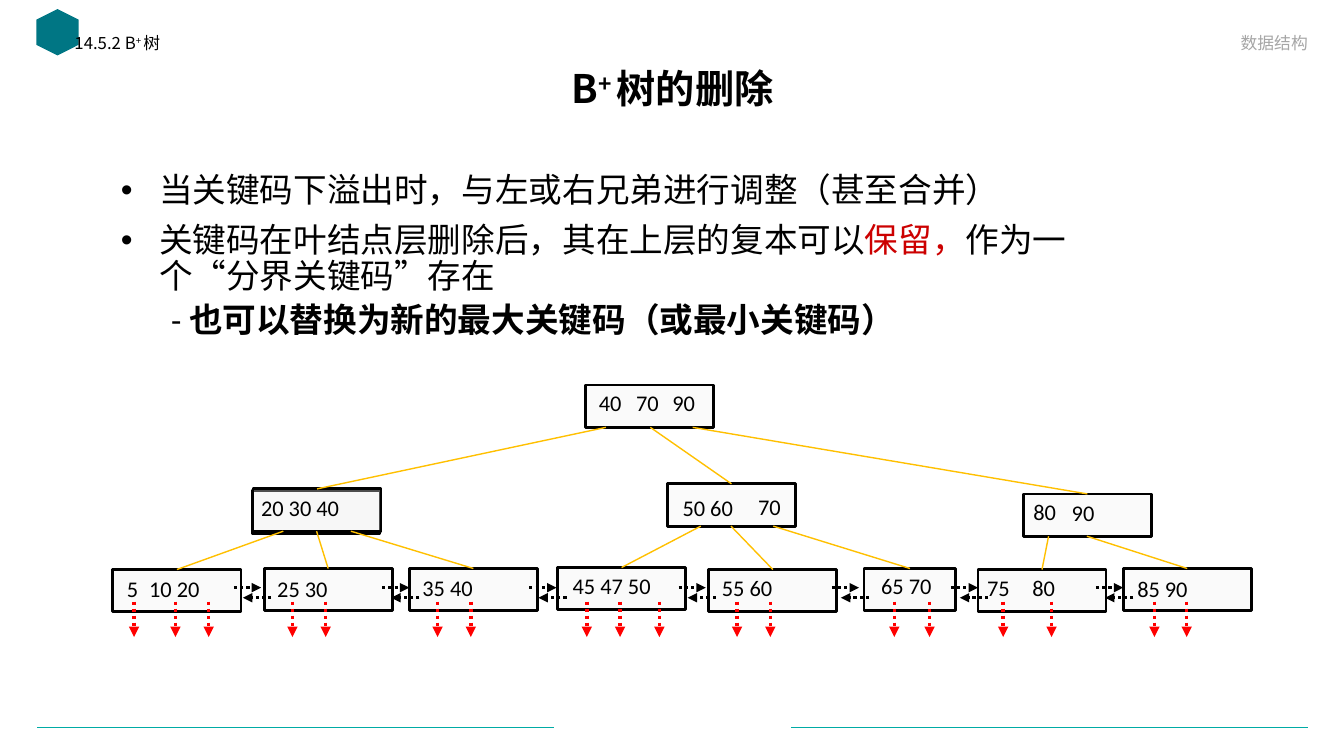
import pptx
import pptx.dml.color
import pptx.enum.dml
import pptx.enum.shapes
import pptx.enum.text
import pptx.oxml
import pptx.oxml.ns
import pptx.util

Color = pptx.dml.color.RGBColor
Align = pptx.enum.text.PP_ALIGN
Anchor = pptx.enum.text.MSO_ANCHOR
Shape = pptx.enum.shapes.MSO_SHAPE
inch = pptx.util.Inches

BLACK = Color(0x00, 0x00, 0x00)
GRAY = Color(0xA6, 0xA6, 0xA6)
CRIMSON = Color(0xCC, 0x00, 0x00)
RED = Color(0xFF, 0x00, 0x00)
AMBER = Color(0xFF, 0xC0, 0x00)
TEAL = Color(0x00, 0xAB, 0xA5)
DEEP_TEAL = Color(0x00, 0x76, 0x84)
NODE_FILL = Color(0xF2, 0xF2, 0xF2)
CJK, LATIN = "Noto Sans CJK SC", "Calibri"

WIDTH, HEIGHT = 13.33, 7.5
NODE_WIDTH, NODE_HEIGHT = 1.27, 0.42
KEY_HEIGHT, KEY_WIDTH = 0.36, 0.6
KEY_INSETS = (0.13, 0.07)
FORWARD_Y, BACKWARD_Y = 5.83, 5.93
POINTER_TOP, POINTER_BOTTOM = 5.97, 6.32
RULE_Y, RULE_WIDTH, RULE_LEFTS = 7.22, 5.12, (0.37, 7.85)

TITLE = [("B", {}), ("+ ", {"raised": True}), ("树的删除", {})]
SECTION = [("14.5.2 B", {}), ("+ ", {"raised": True}), ("树", {})]
COURSE = [("数据结构", {})]
POINTS = [
    [("当关键码下溢出时，与左或右兄弟进行调整（甚至合并）", {})],
    [("关键码在叶结点层删除后，其在上层的复本可以", {}), ("保留，", {"color": CRIMSON}),
     ("作为一个“分界关键码”存在", {})],
]
SUBPOINT = [("- ", {"font": LATIN}),
            ("也可以替换为新的最大关键码（或最小关键码）", {"bold": True})]

NODES = {
    "root": (5.81, 3.82, NODE_WIDTH),
    "backing": (2.5, 4.87, NODE_WIDTH),
    "left": (2.51, 4.85, NODE_WIDTH),
    "middle": (6.62, 4.8, NODE_WIDTH),
    "right": (10.15, 4.9, NODE_WIDTH),
    "leaf 1": (1.12, 5.65, NODE_WIDTH),
    "leaf 2": (2.62, 5.64, NODE_WIDTH),
    "leaf 3": (4.06, 5.64, NODE_WIDTH),
    "leaf 4": (5.53, 5.63, NODE_WIDTH),
    "leaf 5": (7.03, 5.65, NODE_WIDTH),
    "leaf 6": (8.57, 5.64, 0.91),
    "leaf 7": (9.7, 5.65, NODE_WIDTH),
    "leaf 8": (11.14, 5.64, NODE_WIDTH),
}
KEYS = [
    (5.81, 3.84, NODE_WIDTH, "40\t90", 0.73), (6.18, 3.84, KEY_WIDTH, "70", None),
    (2.46, 4.88, NODE_WIDTH, "20 30 40", None),
    (6.64, 4.88, NODE_WIDTH, "50 60", None), (7.39, 4.87, KEY_WIDTH, "70", None),
    (10.12, 4.92, KEY_WIDTH, "80", None), (10.5, 4.93, KEY_WIDTH, "90", None),
    (1.13, 5.69, NODE_WIDTH, "5\t10 20", 0.22),
    (2.62, 5.69, NODE_WIDTH, "25 30", None),
    (4.06, 5.68, NODE_WIDTH, "35 40", None),
    (5.55, 5.66, NODE_WIDTH, "45 47 50", None),
    (7.03, 5.68, NODE_WIDTH, "55 60", None),
    (8.61, 5.66, NODE_WIDTH, "65 70", None),
    (9.66, 5.68, KEY_WIDTH, "75", None), (10.11, 5.68, KEY_WIDTH, "80", None),
    (11.15, 5.69, NODE_WIDTH, "85 90", None),
]
CHILDREN = {
    "root": [(6.01, "left"), (6.45, "middle"), (6.87, "right")],
    "left": [(2.81, "leaf 1"), (3.14, "leaf 2"), (3.48, "leaf 3")],
    "middle": [(6.95, "leaf 4"), (7.25, "leaf 5"), (7.67, "leaf 6")],
    "right": [(10.4, "leaf 7"), (10.78, "leaf 8")],
}
RECORD_POINTERS = [1.33, 1.74, 2.07, 2.9, 3.23, 4.34, 4.67, 5.82, 6.15, 6.54,
                   7.31, 7.64, 8.87, 9.22, 9.95, 10.43, 11.45, 11.77]
SIBLING_LINKS = [2.59, 4.06, 5.52, 7.0, 8.52, 9.7, 11.14]


def add_xml(parent, tag, **attributes):
    element = pptx.oxml.parse_xml(f"<a:{tag} {pptx.oxml.ns.nsdecls('a')}/>")
    for name, value in attributes.items():
        element.set(name, str(value))
    parent.append(element)
    return element


def write(para, spans, size=24, font=CJK, color=BLACK, bold=False,
          align=Align.LEFT, spacing=0.9, before=0):
    para.alignment = align
    para.line_spacing = spacing
    para.space_before = pptx.util.Pt(before)
    for text, style in spans:
        span = para.add_run()
        span.text = text
        span.font.size = pptx.util.Pt(size)
        span.font.bold = style.get("bold", bold)
        span.font.color.rgb = style.get("color", color)
        span.font.name = style.get("font", font)
        properties = span.font._element
        add_xml(properties, "ea", typeface=span.font.name)
        if style.get("raised"):
            properties.set("baseline", "30000")


def add_box(page, left, top, width, height, anchor=Anchor.TOP, insets=(0.1, 0.05)):
    box = page.shapes.add_textbox(inch(left), inch(top), inch(width), inch(height))
    frame = box.text_frame
    frame.word_wrap = True
    frame.vertical_anchor = anchor
    frame.margin_left = frame.margin_right = inch(insets[0])
    frame.margin_top = frame.margin_bottom = inch(insets[1])
    return frame


def add_line(page, start, end, color, weight, arrow=False):
    line = page.shapes.add_connector(pptx.enum.shapes.MSO_CONNECTOR.STRAIGHT,
                                     *map(inch, start + end))
    line.line.color.rgb = color
    line.line.width = pptx.util.Pt(weight)
    if arrow:
        line.line.dash_style = pptx.enum.dml.MSO_LINE.ROUND_DOT
        add_xml(line.line._get_or_add_ln(), "tailEnd", type="triangle")
    add_xml(line._element.spPr, "effectLst")


def add_node(page, left, top, width):
    node = page.shapes.add_shape(Shape.RECTANGLE, inch(left), inch(top),
                                 inch(width), inch(NODE_HEIGHT))
    node.shadow.inherit = False
    node.fill.solid()
    node.fill.fore_color.rgb = NODE_FILL
    add_xml(node._element.spPr.find(".//" + pptx.oxml.ns.qn("a:srgbClr")), "alpha", val=32000)
    node.line.color.rgb = BLACK
    node.line.width = pptx.util.Pt(2)


def add_header(page):
    for left in RULE_LEFTS:
        add_line(page, (left, RULE_Y), (left + RULE_WIDTH, RULE_Y), TEAL, 0.5)
    badge = page.shapes.add_shape(Shape.HEXAGON, inch(0.34), inch(0.11), inch(0.46), inch(0.42))
    badge.rotation = 90
    badge.shadow.inherit = False
    badge.fill.solid()
    badge.fill.fore_color.rgb = DEEP_TEAL
    badge.line.fill.background()
    title = add_box(page, 0.92, 0.62, 11.5, 0.57, anchor=Anchor.MIDDLE)
    write(title.paragraphs[0], TITLE, size=28, bold=True, align=Align.CENTER)
    section = add_box(page, 0.64, 0.3, 5.32, 0.36)
    write(section.paragraphs[0], SECTION, size=12)
    course = add_box(page, 7.43, 0.22, 5.64, 0.35, anchor=Anchor.BOTTOM)
    write(course.paragraphs[0], COURSE, size=12, color=GRAY, align=Align.RIGHT, spacing=1.0)


def add_points(page):
    frame = add_box(page, 1.1, 1.67, 10.13, 4.65)
    for index, spans in enumerate(POINTS):
        para = frame.add_paragraph() if index else frame.paragraphs[0]
        properties = para._element.get_or_add_pPr()
        properties.set("marL", str(inch(0.38)))
        properties.set("indent", str(-inch(0.38)))
        add_xml(properties, "buFont", typeface="Arial")
        add_xml(properties, "buChar", char="•")
        write(para, spans, before=10 if index else 0)
    para = frame.add_paragraph()
    para.level = 1
    para._element.get_or_add_pPr().set("marL", str(inch(0.5)))
    write(para, SUBPOINT, before=5)


def add_tree(page):
    for node in NODES.values():
        add_node(page, *node)
    for left, top, width, text, tab in KEYS:
        para = add_box(page, left, top, width, KEY_HEIGHT, insets=KEY_INSETS).paragraphs[0]
        if tab:
            tabs = add_xml(para._element.get_or_add_pPr(), "tabLst")
            add_xml(tabs, "tab", pos=inch(tab), algn="l")
        write(para, [(text, {})], size=16, font=LATIN, align=Align.JUSTIFY, spacing=0.8)
    for parent, branches in CHILDREN.items():
        bottom = NODES[parent][1] + NODE_HEIGHT
        for start, child in branches:
            left, top, width = NODES[child]
            add_line(page, (start, bottom), (left + width / 2, top), AMBER, 1)
    for x in RECORD_POINTERS:
        add_line(page, (x, POINTER_TOP), (x, POINTER_BOTTOM), RED, 2.5, arrow=True)
    for x in SIBLING_LINKS:
        add_line(page, (x - 0.27, FORWARD_Y), (x, FORWARD_Y), BLACK, 2.25, arrow=True)
        add_line(page, (x + 0.1, BACKWARD_Y), (x - 0.18, BACKWARD_Y), BLACK, 2.25, arrow=True)


def main():
    deck = pptx.Presentation()
    deck.slide_width, deck.slide_height = inch(WIDTH), inch(HEIGHT)
    page = deck.slides.add_slide(deck.slide_layouts[6])
    add_header(page)
    add_points(page)
    add_tree(page)
    deck.save("out.pptx")


if __name__ == "__main__":
    main()
